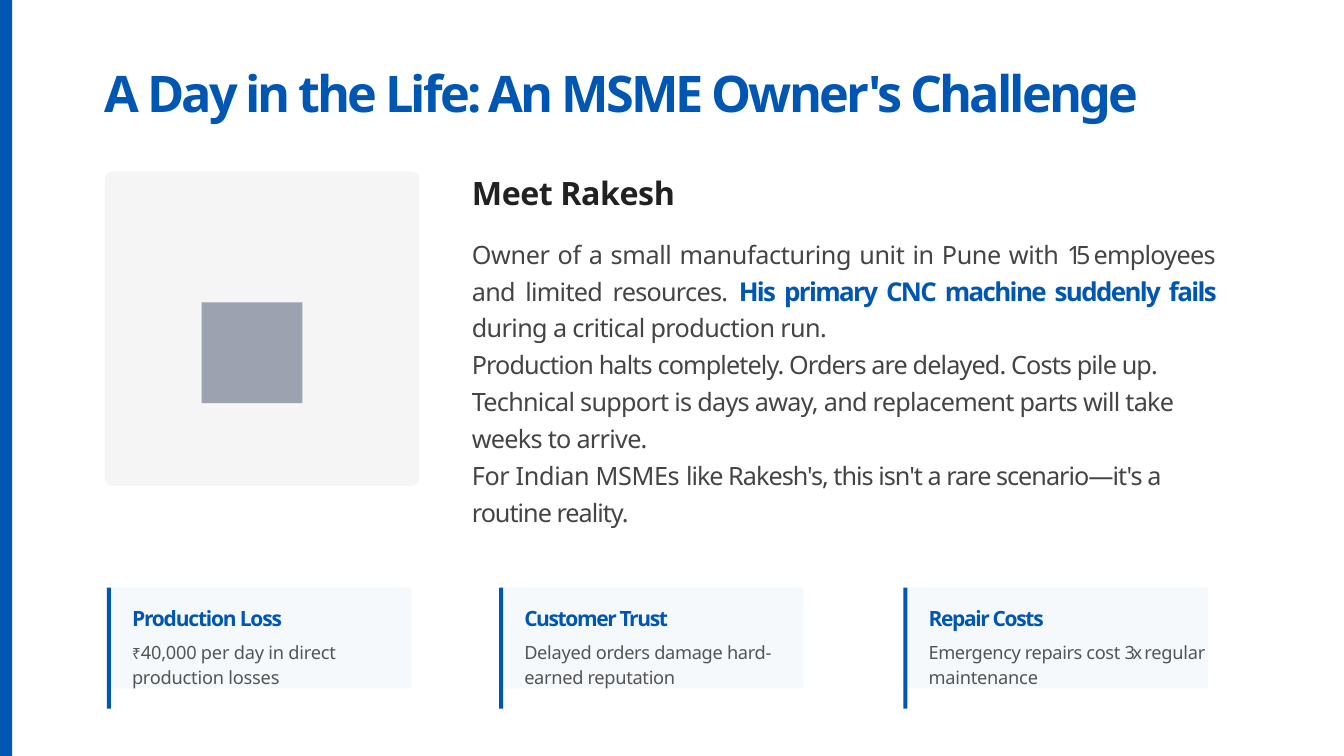
from pptx import Presentation
from pptx.dml.color import RGBColor
from pptx.enum.shapes import MSO_SHAPE as Shape
from pptx.enum.text import MSO_ANCHOR as Anchor, MSO_AUTO_SIZE as Fit, PP_ALIGN as Align
from pptx.oxml.ns import qn
from pptx.util import Inches, Pt

BLUE = RGBColor(0x00, 0x56, 0xB3)
DARK = RGBColor(0x21, 0x21, 0x21)
BODY = RGBColor(0x44, 0x44, 0x44)
NOTE = RGBColor(0x54, 0x54, 0x54)
PANEL = RGBColor(0xF5, 0xF5, 0xF5)
ICON = RGBColor(0x9C, 0xA2, 0xAF)
CARD = RGBColor(0xF6, 0xF9, 0xFB)


def paint(shape, color):
    shape.shadow.inherit = False
    shape.fill.solid()
    shape.fill.fore_color.rgb = color
    shape.line.fill.background()


def write(box, place, top, paras):
    """Place a box and fill it; each paragraph is (line spacing, space before, align, runs)."""
    box.left, box.top, box.width, box.height = [Inches(v) for v in place]
    frame = box.text_frame
    frame.word_wrap, frame.auto_size = True, Fit.NONE
    frame.vertical_anchor = Anchor.TOP
    frame.margin_left, frame.margin_top = Inches(0.01), Inches(top)
    frame.margin_right = frame.margin_bottom = 0
    frame.text = "\n".join("".join(run[0] for run in para[3]) for para in paras)
    for par, (lead, before, align, runs) in zip(frame.paragraphs, paras):
        props = par._p.get_or_add_pPr()
        props.set("marL", "0")
        props.set("indent", "0")
        props.append(props.makeelement(qn("a:buNone"), {}))
        par.line_spacing, par.space_before = lead, Pt(before)
        par.alignment = align
        par.runs[0].text = ""
        for i, (text, size, color, bold, gap) in enumerate(runs):
            run = par.runs[0] if i == 0 else par.add_run()
            run.text = text
            font = run.font
            font.name = "Arial" if text == "₹" else "Noto Sans"
            font.size, font.bold = Pt(size), bold
            font.color.rgb = color
            font._element.set("spc", str(round(gap * 100)))


prs = Presentation()
prs.slide_width, prs.slide_height = Inches(13.33), Inches(7.5)
slide = prs.slides.add_slide(prs.slide_layouts[1])
shapes = slide.shapes

edge = shapes.add_shape(Shape.RECTANGLE, 0, 0, Inches(0.12), prs.slide_height)
paint(edge, BLUE)

# Title and story
title = "A Day in the Life: An MSME Owner's Challenge"
write(shapes.title, (1.03, 0.58, 11.17, 0.63), 0.04,
      [(1, 0, Align.LEFT, [(title, 36, BLUE, True, -2)])])

story = [
    (1, 0, Align.LEFT, [("Meet Rakesh", 23, DARK, True, -0.35)]),
    (1.2, 15.1, Align.JUSTIFY, [
        ("Owner of a small manufacturing unit in Pune with ", 18, BODY, False, -0.25),
        ("15 ", 18, BODY, False, -3.8),
        ("employees and limited resources. ", 18, BODY, False, -0.5),
        ("His primary CNC machine suddenly fails ", 18.5, BLUE, True, -1.15),
        ("during a critical production run.", 18, BODY, False, -0.45)]),
    (1.22, 0.1, Align.LEFT, [
        ("Production halts completely. Orders are delayed. Costs pile up. ",
         18, BODY, False, -0.62),
        ("Technical support is days away, and replacement parts will take "
         "weeks to arrive.", 18, BODY, False, -0.5)]),
    (1.22, 0, Align.LEFT, [
        ("For Indian MSMEs ", 18, BODY, False, -0.25),
        ("like Rakesh's, this isn't a rare scenario—it's a routine reality.",
         18, BODY, False, -0.7)]),
]
write(slide.placeholders[1], (4.67, 1.69, 7.38, 3.53), 0.03, story)

# Factory panel
panel = shapes.add_shape(Shape.ROUNDED_RECTANGLE, Inches(1.04), Inches(1.7),
                         Inches(3.12), Inches(3.12))
panel.adjustments[0] = 0.025
paint(panel, PANEL)

plant = [(2.91, 3.59), (2.3, 3.59), (2.25, 3.57), (2.23, 3.52), (2.23, 2.98),
         (2.25, 2.95), (2.28, 2.93), (2.37, 2.93), (2.41, 2.95), (2.42, 2.98),
         (2.42, 3.2), (2.65, 3.08), (2.69, 3.08), (2.7, 3.11), (2.7, 3.2),
         (2.93, 3.08), (2.97, 3.08), (2.98, 3.11), (2.98, 3.52), (2.96, 3.57)]
pen = shapes.build_freeform(*plant[0], scale=Inches(1))
pen.add_line_segments(plant[1:])
paint(pen.convert_to_shape(), ICON)

# Impact cards
cards = [
    (1.06, "Production Loss", -0.85, 2.13,
     [("₹", 11, NOTE, False, -0.2),
      ("40,000 per day in direct production losses", 13, NOTE, False, -0.15)]),
    (4.95, "Customer Trust", -1, 2.52,
     [("Delayed orders damage hard-earned reputation", 13, NOTE, False, -0.2)]),
    (8.96, "Repair Costs", -0.95, 2.86,
     [("Emergency repairs cost ", 13, NOTE, False, -0.25),
      ("3x ", 13, NOTE, False, -1.7),
      ("regular maintenance", 13, NOTE, False, -0.15)]),
]
rim = [(3.34, 0), (3.39, 0.02), (3.42, 0.08), (3.42, 1.12),
       (3.39, 1.18), (3.34, 1.2), (0, 1.2)]
for left, head, gap, width, note in cards:
    pen = shapes.build_freeform(0, 0, scale=Inches(1))
    pen.add_line_segments(rim)
    paint(pen.convert_to_shape(Inches(left + 0.02), Inches(5.83)), CARD)
    bar = shapes.add_shape(Shape.RECTANGLE, Inches(left), Inches(5.83),
                           Inches(0.04), Inches(1.2))
    paint(bar, BLUE)
    write(shapes.add_textbox(0, 0, 0, 0), (left + 0.24, 5.97, 2.5, 0.28), 0.04,
          [(1, 0, Align.LEFT, [(head, 15, BLUE, True, gap)])])
    write(shapes.add_textbox(0, 0, 0, 0), (left + 0.24, 6.31, width, 0.53), 0.02,
          [(1.15, 0, Align.LEFT, note)])

prs.save("out.pptx")
